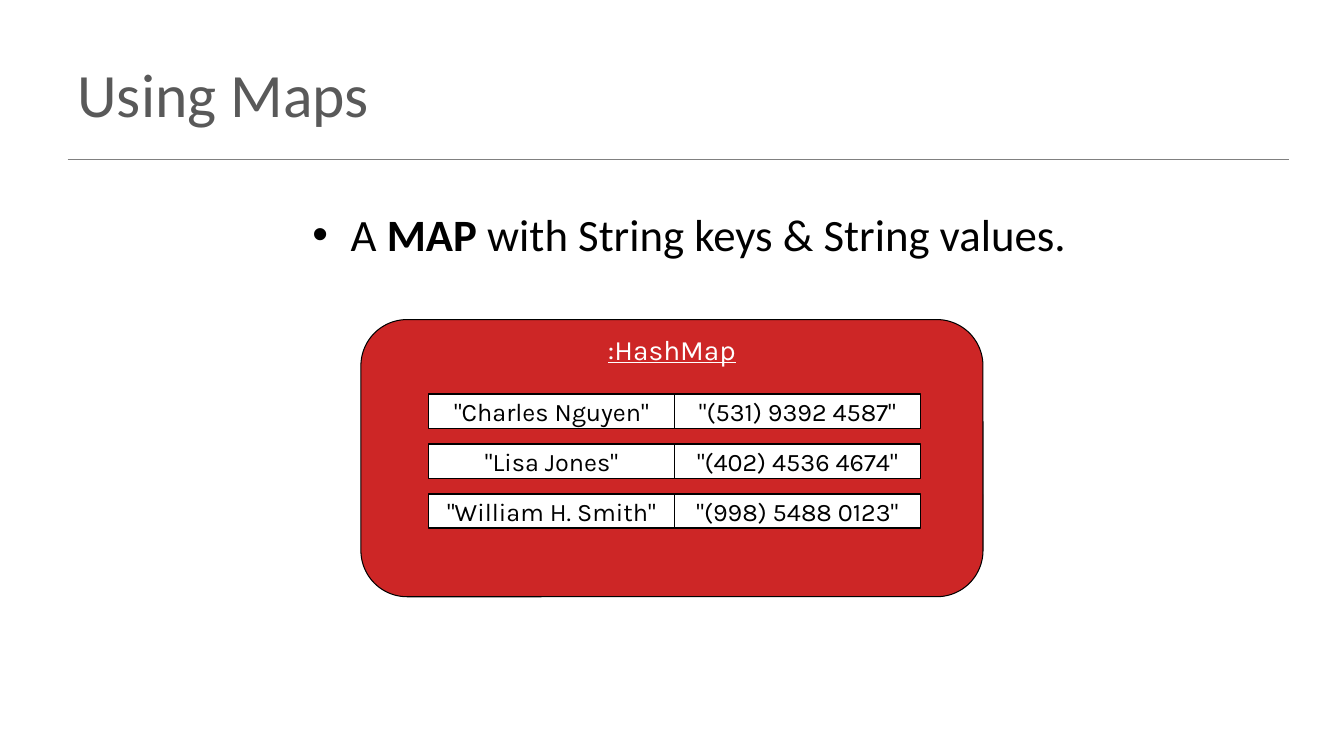
from lxml import etree
from pptx import Presentation, util as u
from pptx.dml.color import RGBColor
from pptx.enum import shapes as sh, text as tx
from pptx.oxml.ns import qn

TITLE = "Using Maps"
POINT = [("A ", False), ("MAP", True), (" with String keys & String values.", False)]
LABEL = ":HashMap"
ENTRIES = [
    ('"Charles Nguyen"', '"(531) 9392 4587"'),
    ('"Lisa Jones"', '"(402) 4536 4674"'),
    ('"William H. Smith"', '"(998) 5488 0123"'),
]
WIDE, HIGH = 13.33, 7.5
MAP = (3.58, 3.17, 6.17, 2.75)
GRID_X, GRID_Y = 4.25, 3.91
CELL_W, CELL_H, PITCH = 2.44, 0.34, 0.495

deck = Presentation()
deck.slide_width, deck.slide_height = u.Inches(WIDE), u.Inches(HIGH)
slide = deck.slides.add_slide(deck.slide_layouts[6])


def color(code):
    return RGBColor.from_string(code)


def inches(*sizes):
    return [u.Inches(size) for size in sizes]


def style(font, face, size, code):
    font.name, font.size = face, u.Pt(size)
    font.color.rgb = color(code)


def add_box(kind, place, fill, width):
    box = slide.shapes.add_shape(kind, *inches(*place))
    box.shadow.inherit = False
    box.fill.solid()
    box.fill.fore_color.rgb = color(fill)
    box.line.color.rgb = color("000000")
    box.line.width = u.Pt(width)
    return box


def add_text(place, parts, face, size, code):
    """Add a wrapped text box of (words, bold) runs and return its frame."""
    frame = slide.shapes.add_textbox(*inches(*place)).text_frame
    frame.word_wrap = True
    for words, bold in parts:
        run = frame.paragraphs[0].add_run()
        run.text = words
        style(run.font, face, size, code)
        run.font.bold = bold
    return frame


def add_bullet(par, indent):
    props = par._p.get_or_add_pPr()
    props.set("marL", str(u.Inches(indent)))
    props.set("indent", str(-u.Inches(indent)))
    etree.SubElement(props, qn("a:buFont")).set("typeface", "Arial")
    etree.SubElement(props, qn("a:buChar")).set("char", "•")


def add_cell(col, row, words):
    place = (GRID_X + col * CELL_W, GRID_Y + row * PITCH, CELL_W, CELL_H)
    frame = add_box(sh.MSO_SHAPE.RECTANGLE, place, "FFFFFF", 1).text_frame
    frame.word_wrap = False
    frame.vertical_anchor = tx.MSO_ANCHOR.MIDDLE
    par = frame.paragraphs[0]
    par.text = words
    par.alignment = tx.PP_ALIGN.CENTER
    style(par.runs[0].font, "Karla", 18, "000000")


rule = slide.shapes.add_connector(
    sh.MSO_CONNECTOR.STRAIGHT, *inches(0.67, 1.58, 12.78, 1.58))
rule.line.color.rgb = color("808080")
rule.line.width = u.Pt(1)
etree.SubElement(rule._element.spPr, qn("a:effectLst"))

title = add_text((0.67, 0.3, 12, 1.25), [(TITLE, False)], "Calibri", 44, "595959")
title.vertical_anchor = tx.MSO_ANCHOR.MIDDLE
point = add_text((3, 2, 8.17, 0.78), POINT, "Calibri", 32, "000000")
add_bullet(point.paragraphs[0], 0.38)

add_box(sh.MSO_SHAPE.ROUNDED_RECTANGLE, MAP, "CD2626", 0.75)
left, top, width, _ = MAP
label = add_text((left, top + 0.08, width, 0.43), [(LABEL, False)],
                 "Karla", 20, "FFFFFF").paragraphs[0]
label.alignment = tx.PP_ALIGN.CENTER
label.runs[0].font.underline = True

for row, entry in enumerate(ENTRIES):
    for col, words in enumerate(entry):
        add_cell(col, row, words)

deck.save("out.pptx")
